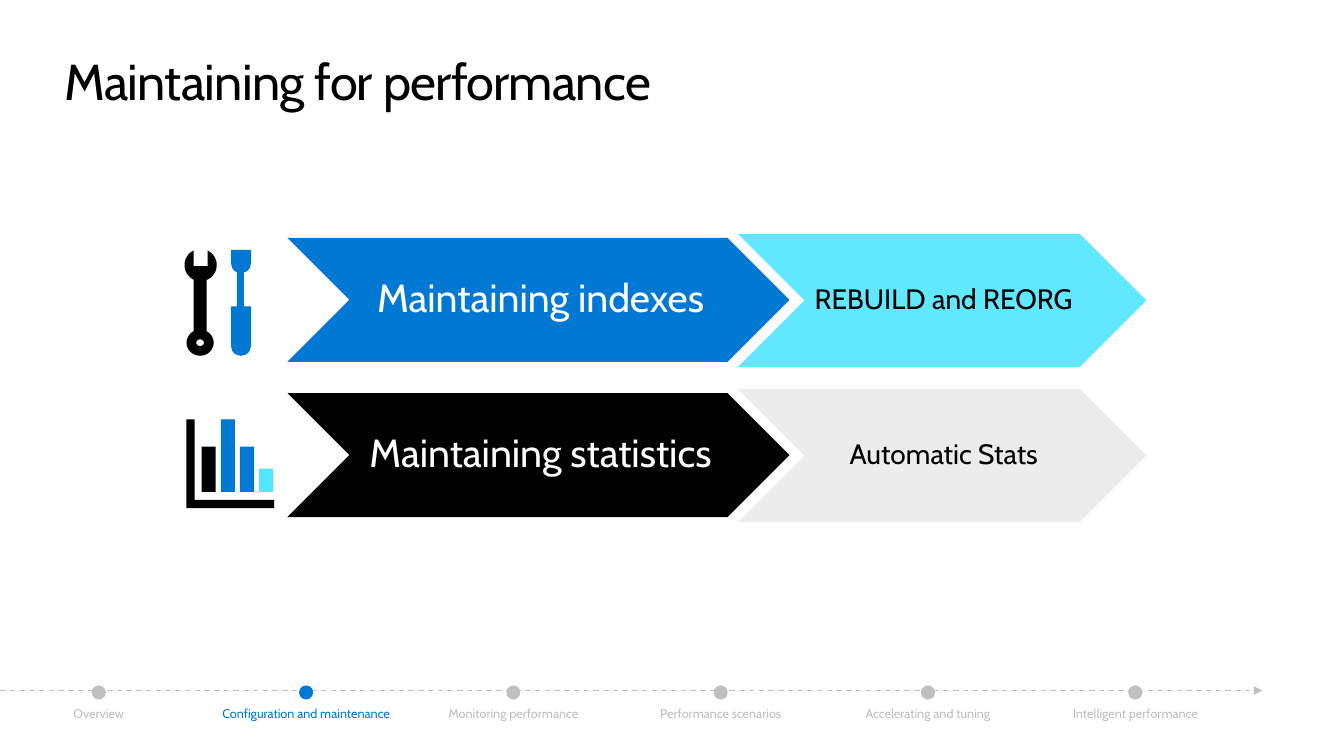
import math

import lxml.etree
import pptx
import pptx.dml.color
import pptx.enum.dml
import pptx.enum.shapes
import pptx.enum.text
import pptx.oxml
import pptx.oxml.ns
import pptx.util

Inches = pptx.util.Inches
RGBColor = pptx.dml.color.RGBColor
MSO_SHAPE = pptx.enum.shapes.MSO_SHAPE
ALIGN = pptx.enum.text.PP_ALIGN
ANCHOR = pptx.enum.text.MSO_ANCHOR

BLUE = RGBColor(0x00, 0x78, 0xD4)
CYAN = RGBColor(0x50, 0xE6, 0xFF)
BLACK = RGBColor(0x00, 0x00, 0x00)
WHITE = RGBColor(0xFF, 0xFF, 0xFF)
PALE = RGBColor(0xEB, 0xEB, 0xEB)
GREY = RGBColor(0xBF, 0xBF, 0xBF)

TITLE = "Maintaining for performance"
TASKS = [
    ("Maintaining indexes", BLUE, "REBUILD and REORG", CYAN),
    ("Maintaining statistics", BLACK, "Automatic Stats", PALE),
]
MILESTONES = [
    "Overview",
    "Configuration and maintenance",
    "Monitoring performance",
    "Performance scenarios",
    "Accelerating and tuning",
    "Intelligent performance",
]
CURRENT = "Configuration and maintenance"

TITLE_FORMAT = {"name": "Cabin", "size": pptx.util.Pt(36)}
TASK_FORMAT = {"name": "Cabin", "size": pptx.util.Pt(28)}
DETAIL_FORMAT = {"name": "Cabin", "size": pptx.util.Pt(20)}
LABEL_FORMAT = {"name": "Cabin", "size": pptx.util.Pt(9)}

TASK_TOP, TASK_PITCH = 2.36, 1.54
DETAIL_RISE = 0.04
FIRST_DOT, LAST_DOT = 0.98, 11.26
DOT_TOP, DOT_SIZE = 6.8, 0.14
LABEL_TOP, LABEL_WIDTH, LABEL_HEIGHT = 7, 1.9, 0.15
LINE_Y, LINE_END = 6.85, 12.52

TOOL_PARTS = [
    (MSO_SHAPE.RECTANGLE, 2.35, 2.68, 0.07, 0.4, BLUE, []),
    (MSO_SHAPE.ROUND_2_SAME_RECTANGLE, 2.29, 2.48, 0.2, 0.23, BLUE, [0, 0.5]),
    (MSO_SHAPE.ROUND_2_SAME_RECTANGLE, 2.29, 3.04, 0.2, 0.49, BLUE, [0, 0.5]),
    (MSO_SHAPE.RECTANGLE, 1.92, 2.69, 0.13, 0.66, BLACK, []),
    (MSO_SHAPE.DONUT, 1.85, 3.27, 0.27, 0.26, BLACK, [0.37]),
]
JAW_X, JAW_Y, JAW_RADIUS = 1.99, 2.63, 0.16
NOTCH_HALF, NOTCH_BOTTOM = 0.07, 2.64
JAW_STEPS = 40
AXES = [(1.85, 4.16), (1.93, 4.16), (1.93, 4.96), (2.72, 4.96), (2.72, 5.04), (1.85, 5.04)]
BARS = [(0.45, BLACK), (0.72, BLUE), (0.45, BLUE), (0.23, CYAN)]
BAR_LEFT, BAR_PITCH, BAR_WIDTH, BAR_BASE = 2.0, 0.19, 0.14, 4.88


def paint(shape, color):
    shape.shadow.inherit = False
    shape.fill.solid()
    shape.fill.fore_color.rgb = color
    shape.line.fill.background()


def add_part(page, kind, left, top, width, height, color, adjustments=()):
    shape = page.shapes.add_shape(kind, Inches(left), Inches(top), Inches(width), Inches(height))
    paint(shape, color)
    for index, value in enumerate(adjustments):
        shape.adjustments[index] = value
    return shape


def add_outline(page, points, color):
    corners = [(Inches(x), Inches(y)) for x, y in points]
    builder = page.shapes.build_freeform(*corners[0])
    builder.add_line_segments(corners[1:], close=True)
    paint(builder.convert_to_shape(), color)


def write(shape, text, font_format, color, align, anchor=ANCHOR.TOP, spacing=1.0, wrap=True):
    frame = shape.text_frame
    frame_format = {
        "margin_left": 0, "margin_top": 0, "margin_right": 0, "margin_bottom": 0,
        "word_wrap": wrap, "vertical_anchor": anchor,
        "auto_size": pptx.enum.text.MSO_AUTO_SIZE.NONE,
    }
    for name, value in frame_format.items():
        setattr(frame, name, value)
    para = frame.paragraphs[0]
    para.alignment = align
    para.line_spacing = spacing
    span = para.add_run()
    span.text = text
    for name, value in font_format.items():
        setattr(span.font, name, value)
    span.font.color.rgb = color
    return span


def add_title(page):
    title = page.shapes.title
    place = {"left": 0.64, "top": 0.5, "width": 12.05, "height": 0.61}
    for name, value in place.items():
        setattr(title, name, Inches(value))
    span = write(title, TITLE, TITLE_FORMAT, BLACK, ALIGN.LEFT)
    span.font._element.set("spc", "-50")


def add_tasks(page):
    for row, (task, task_fill, detail, detail_fill) in enumerate(TASKS):
        top = TASK_TOP + row * TASK_PITCH
        arrow = add_part(page, MSO_SHAPE.CHEVRON, 2.85, top, 4.98, 1.23, task_fill)
        write(arrow, task, TASK_FORMAT, WHITE, ALIGN.CENTER, ANCHOR.MIDDLE, 0.9)
        arrow.text_frame.margin_left = Inches(0.04)
        arrow = add_part(page, MSO_SHAPE.CHEVRON, 7.32, top - DETAIL_RISE, 4.05, 1.32, detail_fill)
        write(arrow, detail, DETAIL_FORMAT, BLACK, ALIGN.CENTER, ANCHOR.MIDDLE, 0.9)
        arrow.text_frame.margin_left = Inches(0.03)
        tint = arrow._element.spPr.find(".//" + pptx.oxml.ns.qn("a:srgbClr"))
        lxml.etree.SubElement(tint, pptx.oxml.ns.qn("a:alpha"), val="90000")


def add_tools_icon(page):
    for part in TOOL_PARTS:
        add_part(page, *part)
    opening = math.asin(NOTCH_HALF / JAW_RADIUS)
    sweep = 2 * (math.pi - opening)
    turns = [opening + sweep * step / JAW_STEPS for step in range(JAW_STEPS + 1)]
    jaw = [(JAW_X + JAW_RADIUS * math.sin(turn), JAW_Y - JAW_RADIUS * math.cos(turn)) for turn in turns]
    notch = [(JAW_X - NOTCH_HALF, NOTCH_BOTTOM), (JAW_X + NOTCH_HALF, NOTCH_BOTTOM)]
    add_outline(page, jaw + notch, BLACK)


def add_statistics_icon(page):
    add_outline(page, AXES, BLACK)
    for index, (height, color) in enumerate(BARS):
        left = BAR_LEFT + index * BAR_PITCH
        add_part(page, MSO_SHAPE.RECTANGLE, left, BAR_BASE - height, BAR_WIDTH, height, color)


def add_timeline(page):
    line = page.shapes.add_connector(
        pptx.enum.shapes.MSO_CONNECTOR.STRAIGHT, 0, Inches(LINE_Y), Inches(LINE_END), Inches(LINE_Y))
    line.line.color.rgb = GREY
    line.line.width = pptx.util.Pt(1)
    line.line.dash_style = pptx.enum.dml.MSO_LINE.DASH
    properties = line._element.spPr
    lxml.etree.SubElement(properties.find(pptx.oxml.ns.qn("a:ln")), pptx.oxml.ns.qn("a:tailEnd"), type="triangle")
    lxml.etree.SubElement(properties, pptx.oxml.ns.qn("a:effectLst"))
    pitch = (LAST_DOT - FIRST_DOT) / (len(MILESTONES) - 1)
    for index, milestone in enumerate(MILESTONES):
        center = FIRST_DOT + index * pitch
        color = BLUE if milestone == CURRENT else GREY
        add_part(page, MSO_SHAPE.OVAL, center - DOT_SIZE / 2, DOT_TOP, DOT_SIZE, DOT_SIZE, color)
        box = page.shapes.add_textbox(
            Inches(center - LABEL_WIDTH / 2), Inches(LABEL_TOP), Inches(LABEL_WIDTH), Inches(LABEL_HEIGHT))
        write(box, milestone, LABEL_FORMAT, color, ALIGN.CENTER)


def main():
    deck = pptx.Presentation()
    deck.slide_width = Inches(13.33)
    deck.slide_height = Inches(7.5)
    page = deck.slides.add_slide(deck.slide_layouts[5])
    add_title(page)
    add_tasks(page)
    add_tools_icon(page)
    add_statistics_icon(page)
    add_timeline(page)
    deck.save("out.pptx")


if __name__ == "__main__":
    main()
